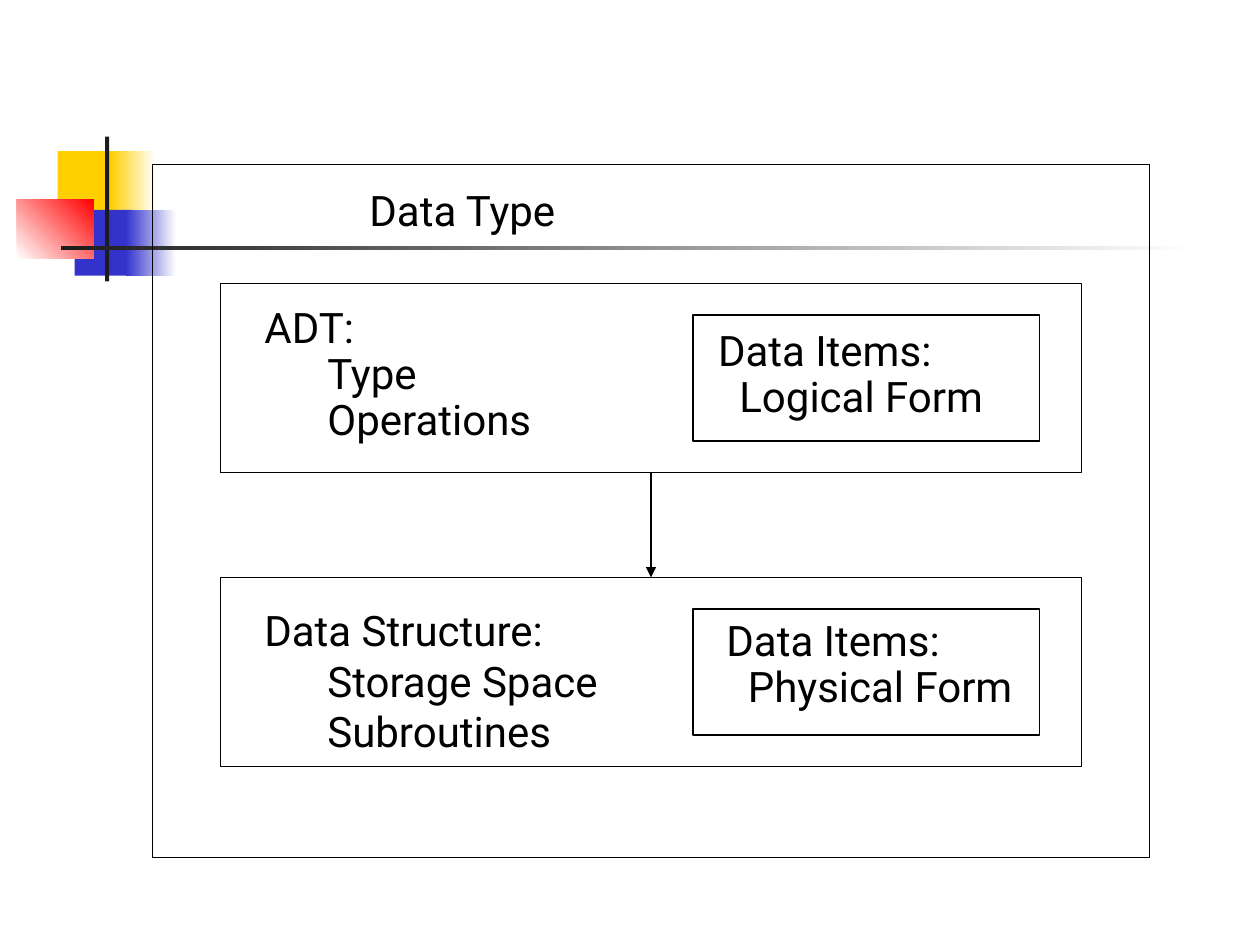
from pptx import Presentation
from pptx import util as u
from pptx.dml.color import RGBColor
from pptx.enum import shapes, text
from pptx.oxml.ns import qn
from lxml import etree

WIDTH, HEIGHT = u.Inches(10), u.Inches(7.5)
COLUMNS = 120  # square cells, 12 to the inch
CELL = WIDTH / COLUMNS

BLACK = RGBColor(0, 0, 0)
WHITE = RGBColor(255, 255, 255)
YELLOW = RGBColor(0xFF, 0xCF, 0x01)
BLUE = RGBColor(0x33, 0x33, 0xCC)
RED = RGBColor(255, 0, 0)
CHARCOAL = RGBColor(0x1C, 0x1C, 0x1C)

FONT = "Roboto"
OUTER_LEFT, INNER_LEFT, ITEMS_LEFT = 14.5, 21, 66
INNER_WIDTH, INNER_HEIGHT = 82, 18
ADT_TOP, STRUCTURE_TOP = 27, 55


def grid(*cells):
    return [u.Emu(round(cell * CELL)) for cell in cells]


def add_rectangle(slide, *place):
    shape = slide.shapes.add_shape(shapes.MSO_SHAPE.RECTANGLE, *grid(*place))
    shape.shadow.inherit = False
    return shape


def add_block(slide, place, start, end=None, angle=0):
    """Borderless rectangle, solid or fading from start to end."""
    block = add_rectangle(slide, *place)
    block.line.fill.background()
    if end is None:
        block.fill.solid()
        block.fill.fore_color.rgb = start
        return
    block.fill.gradient()
    block.fill.gradient_angle = angle
    for stop, color, position in zip(block.fill.gradient_stops, (start, end), (0, 1)):
        stop.color.rgb = color
        stop.position = position


def add_frame(slide, *place):
    frame = add_rectangle(slide, *place)
    frame.fill.background()
    frame.line.color.rgb = BLACK
    frame.line.width = u.Pt(0.75)


def add_text(slide, place, lines, indent=0, spacing=None, before=0,
             size=24, color=BLACK):
    """Text box whose lines after the first are indented (inches)."""
    frame = slide.shapes.add_textbox(*grid(*place)).text_frame
    frame.word_wrap = True
    frame.auto_size = text.MSO_AUTO_SIZE.SHAPE_TO_FIT_TEXT
    for index, line in enumerate(lines):
        paragraph = frame.paragraphs[0] if index == 0 else frame.add_paragraph()
        if spacing:
            paragraph.line_spacing = spacing
        if index:
            paragraph.space_before = u.Pt(before)
            paragraph._p.get_or_add_pPr().set("marL", str(u.Inches(indent)))
        run = paragraph.add_run()
        run.text = line
        run.font.name = FONT
        run.font.size = u.Pt(size)
        run.font.color.rgb = color


def add_arrow(slide, *ends):
    arrow = slide.shapes.add_connector(shapes.MSO_CONNECTOR.STRAIGHT, *grid(*ends))
    arrow.line.color.rgb = BLACK
    arrow.line.width = u.Pt(0.75)
    line = arrow.line._get_or_add_ln()
    etree.SubElement(line, qn("a:tailEnd"), type="triangle")
    etree.SubElement(arrow._element.spPr, qn("a:effectLst"))


def add_ornament(slide):
    add_block(slide, (5.5, 14.4, 5.8, 6.25), YELLOW)
    add_block(slide, (10.5, 14.4, 4.3, 6.25), YELLOW, WHITE)
    add_block(slide, (7.1, 20, 5.5, 6.25), BLUE)
    add_block(slide, (12, 20, 4.8, 6.25), BLUE, WHITE)
    add_block(slide, (1.6, 19, 7.35, 5.6), WHITE, RED, angle=45)
    add_block(slide, (10, 13, 0.4, 13.8), CHARCOAL)
    add_block(slide, (5.8, 23.4, 108, 0.4), CHARCOAL, WHITE)


def main():
    presentation = Presentation()
    presentation.slide_width, presentation.slide_height = WIDTH, HEIGHT
    slide = presentation.slides.add_slide(presentation.slide_layouts[6])

    add_ornament(slide)
    add_frame(slide, OUTER_LEFT, 15.7, 95, 66)
    add_text(slide, (34, 17, 56, 6), ["Data Type"])

    for top in (ADT_TOP, STRUCTURE_TOP):
        add_frame(slide, INNER_LEFT, top, INNER_WIDTH, INNER_HEIGHT)
        add_frame(slide, ITEMS_LEFT, top + 3, 33, 12)
    center = INNER_LEFT + INNER_WIDTH / 2
    add_arrow(slide, center, ADT_TOP + INNER_HEIGHT, center, STRUCTURE_TOP)

    tight = {"spacing": 0.5, "before": 12}
    add_text(slide, (24, 30.2, 33, 13.2), ["ADT:", "Type", "Operations"],
             indent=0.5, **tight)
    add_text(slide, (67.2, 32.4, 33, 8.4), ["Data Items:", "Logical Form"],
             indent=0.17, **tight)
    add_text(slide, (68, 60, 33, 8.4), ["Data Items:", "Physical Form"],
             indent=0.17, **tight)
    add_text(slide, (24, 57, 35, 15.6),
             ["Data Structure:", "Storage Space", "Subroutines"], indent=0.5)

    presentation.save("out.pptx")


if __name__ == "__main__":
    main()
